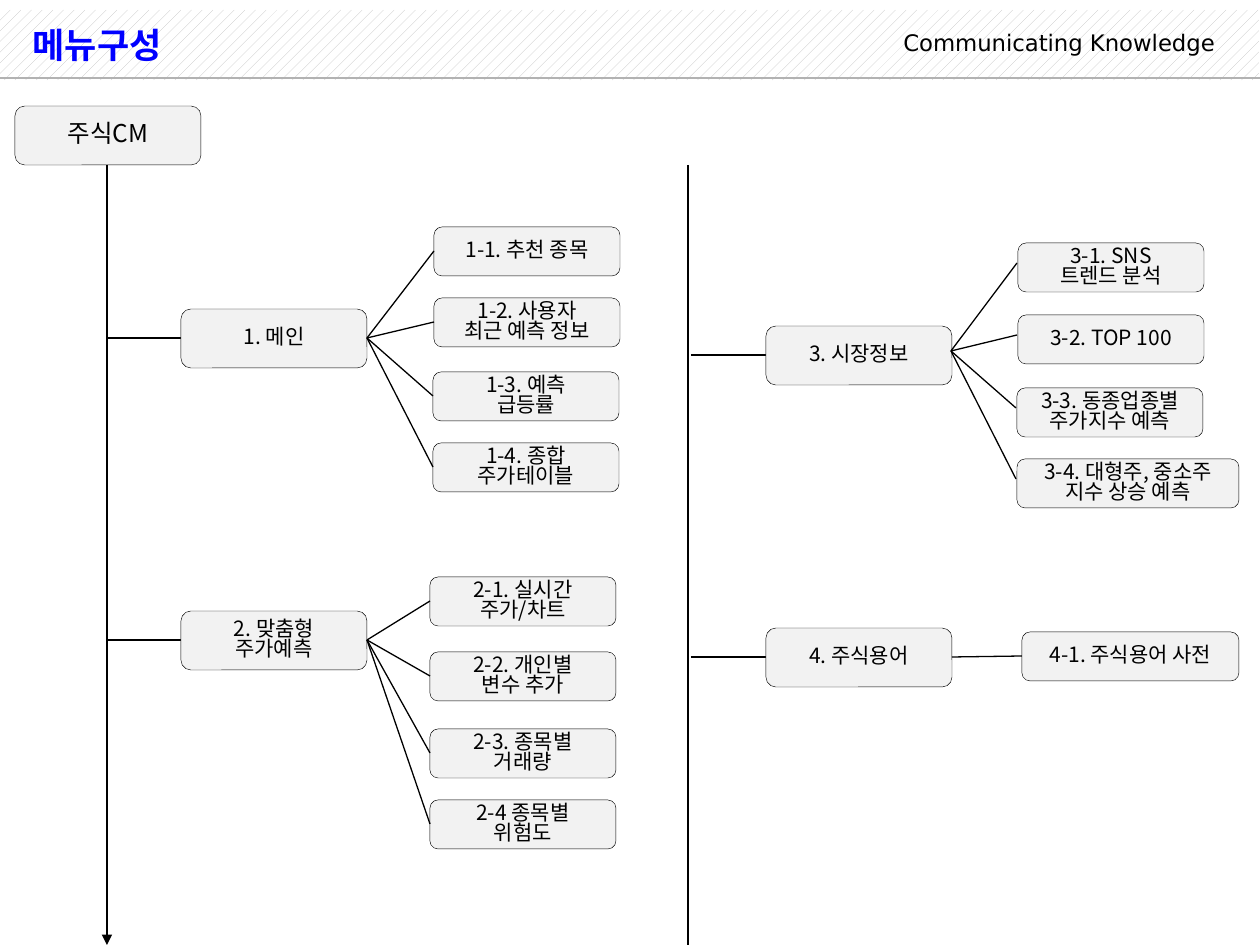
from dataclasses import dataclass

from lxml import etree
from pptx import Presentation
from pptx.dml.color import RGBColor
from pptx.enum.dml import MSO_PATTERN
from pptx.enum.shapes import MSO_CONNECTOR, MSO_SHAPE
from pptx.enum.text import MSO_ANCHOR, MSO_AUTO_SIZE, PP_ALIGN
from pptx.oxml.ns import qn
from pptx.util import Pt

RECTANGLE, ROUNDED = MSO_SHAPE.RECTANGLE, MSO_SHAPE.ROUNDED_RECTANGLE
STRAIGHT = MSO_CONNECTOR.STRAIGHT
LEFT, CENTER, RIGHT = PP_ALIGN.LEFT, PP_ALIGN.CENTER, PP_ALIGN.RIGHT
MIDDLE = MSO_ANCHOR.MIDDLE
PX_PER_INCH = 126
TITLE_ONLY = 5


@dataclass(frozen=True)
class Theme:
    black: RGBColor = RGBColor(0, 0, 0)
    white: RGBColor = RGBColor(255, 255, 255)
    title: RGBColor = RGBColor(0, 0, 255)
    box: RGBColor = RGBColor(0xF2, 0xF2, 0xF2)
    hatch: RGBColor = RGBColor(0xC0, 0xC0, 0xC0)
    rule: RGBColor = RGBColor(0xB2, 0xB2, 0xB2)
    font: str = "Noto Sans CJK KR"
    slogan_font: str = "DejaVu Sans"
    title_size: int = 20
    root_size: int = 14
    slogan_size: int = 13
    menu_size: int = 12
    line_width: float = 0.75
    border_width: float = 0.25
    line_spacing: float = 0.8


THEME = Theme()


@dataclass(frozen=True)
class Box:
    text: str
    left: int
    top: int
    width: int = 186
    height: int = 49

    @property
    def middle(self) -> int:
        return self.top + self.height // 2

    @property
    def right(self) -> int:
        return self.left + self.width


@dataclass(frozen=True)
class Branch:
    trunk_x: int
    menu: Box
    items: tuple[Box, ...]
    fan_shift: tuple[int, int] = (0, 0)


def menu_box(text: str, left: int, top: int) -> Box:
    return Box(text, left, top, height=59)


ROOT = menu_box("주식CM", 15, 106)
LEFT_TRUNK, RIGHT_TRUNK = 107, 688
TRUNK_TOP, TRUNK_BOTTOM = 165, 945
BRANCHES = (
    Branch(LEFT_TRUNK, menu_box("1. 메인", 181, 309), (
        Box("1-1. 추천 종목", 434, 227),
        Box("1-2. 사용자\n최근 예측 정보", 434, 298),
        Box("1-3. 예측\n급등률", 433, 372),
        Box("1-4. 종합\n주가테이블", 433, 443))),
    Branch(LEFT_TRUNK, menu_box("2. 맞춤형\n주가예측", 181, 611), (
        Box("2-1. 실시간\n주가/차트", 430, 577),
        Box("2-2. 개인별\n변수 추가", 430, 652),
        Box("2-3. 종목별\n거래량", 430, 729),
        Box("2-4 종목별\n위험도", 430, 800))),
    Branch(RIGHT_TRUNK + 3, menu_box("3. 시장정보", 766, 326), (
        Box("3-1. SNS\n트렌드 분석", 1018, 243),
        Box("3-2. TOP 100", 1018, 315),
        Box("3-3. 동종업종별\n주가지수 예측", 1017, 388),
        Box("3-4. 대형주, 중소주\n지수 상승 예측", 1017, 459, width=222)),
        fan_shift=(-1, -4)),
    Branch(RIGHT_TRUNK + 3, menu_box("4. 주식용어", 766, 628), (
        Box("4-1. 주식용어 사전", 1022, 632, width=217),)),
)


def px(length: int) -> int:
    return round(length * 914400 / PX_PER_INCH)


def write(text_frame, text: str, size: int, alignment, color=THEME.black,
          font: str = THEME.font, bold: bool = False, spacing: float | None = None) -> None:
    text_frame.text = text
    text_frame.word_wrap = True
    text_frame.auto_size = MSO_AUTO_SIZE.NONE
    for paragraph in text_frame.paragraphs:
        paragraph.alignment = alignment
        paragraph.line_spacing = spacing
        for run in paragraph.runs:
            run.font.name, run.font.size = font, Pt(size)
            run.font.bold, run.font.color.rgb = bold, color
            east_asian = etree.SubElement(run.font._element, qn("a:ea"))
            east_asian.set("typeface", font)


def draw_line(slide, start: tuple[int, int], end: tuple[int, int],
              color=THEME.black, arrow: bool = False) -> None:
    connector = slide.shapes.add_connector(STRAIGHT, *map(px, start + end))
    connector.line.color.rgb = color
    connector.line.width = Pt(THEME.line_width)
    if arrow:
        tail = etree.SubElement(connector.line._get_or_add_ln(), qn("a:tailEnd"))
        tail.set("type", "triangle")
    etree.SubElement(connector._element.spPr, qn("a:effectLst"))


def draw_box(slide, box: Box, size: int = THEME.menu_size) -> None:
    shape = slide.shapes.add_shape(
        ROUNDED, px(box.left), px(box.top), px(box.width), px(box.height))
    shape.shadow.inherit = False
    shape.fill.solid()
    shape.fill.fore_color.rgb = THEME.box
    shape.line.color.rgb = THEME.black
    shape.line.width = Pt(THEME.border_width)
    shape.text_frame.vertical_anchor = MIDDLE
    write(shape.text_frame, box.text, size, CENTER, spacing=THEME.line_spacing)


def draw_header(slide) -> None:
    # Hatched band behind the title
    band = slide.shapes.add_shape(RECTANGLE, 0, px(10), px(1259), px(70))
    band.shadow.inherit = False
    band.fill.patterned()
    band.fill.pattern = MSO_PATTERN.PERCENT_20
    band.fill.fore_color.rgb = THEME.hatch
    band.fill.back_color.rgb = THEME.white
    band.line.fill.background()
    slogan = slide.shapes.add_textbox(px(886), px(28), px(341), px(35))
    write(slogan.text_frame, "Communicating Knowledge", THEME.slogan_size, RIGHT,
          font=THEME.slogan_font, spacing=THEME.line_spacing)
    draw_line(slide, (0, 78), (1260, 78), THEME.rule)

    # Title, lifted above the band
    title = slide.shapes.title
    title.left, title.top, title.width, title.height = map(px, (20, 10, 876, 69))
    title.text_frame.vertical_anchor = MIDDLE
    write(title.text_frame, "메뉴구성", THEME.title_size, LEFT, THEME.title, bold=True)
    slide.shapes._spTree.append(title._element)


def draw_branch(slide, branch: Branch) -> None:
    menu = branch.menu
    shift_x, shift_y = branch.fan_shift
    draw_line(slide, (branch.trunk_x, menu.middle), (menu.left, menu.middle))
    draw_box(slide, menu)
    for item in branch.items:
        draw_box(slide, item)
        draw_line(slide, (menu.right + shift_x, menu.middle + shift_y),
                  (item.left + shift_x, item.middle + shift_y))


def main() -> None:
    presentation = Presentation()
    presentation.slide_width, presentation.slide_height = px(1260), px(945)
    slide = presentation.slides.add_slide(presentation.slide_layouts[TITLE_ONLY])
    draw_header(slide)

    # Menu tree: root, two trunks and their branches
    draw_box(slide, ROOT, THEME.root_size)
    draw_line(slide, (LEFT_TRUNK, TRUNK_TOP), (LEFT_TRUNK, TRUNK_BOTTOM), arrow=True)
    draw_line(slide, (RIGHT_TRUNK, TRUNK_TOP), (RIGHT_TRUNK, TRUNK_BOTTOM))
    for branch in BRANCHES:
        draw_branch(slide, branch)
    presentation.save("out.pptx")


if __name__ == "__main__":
    main()
